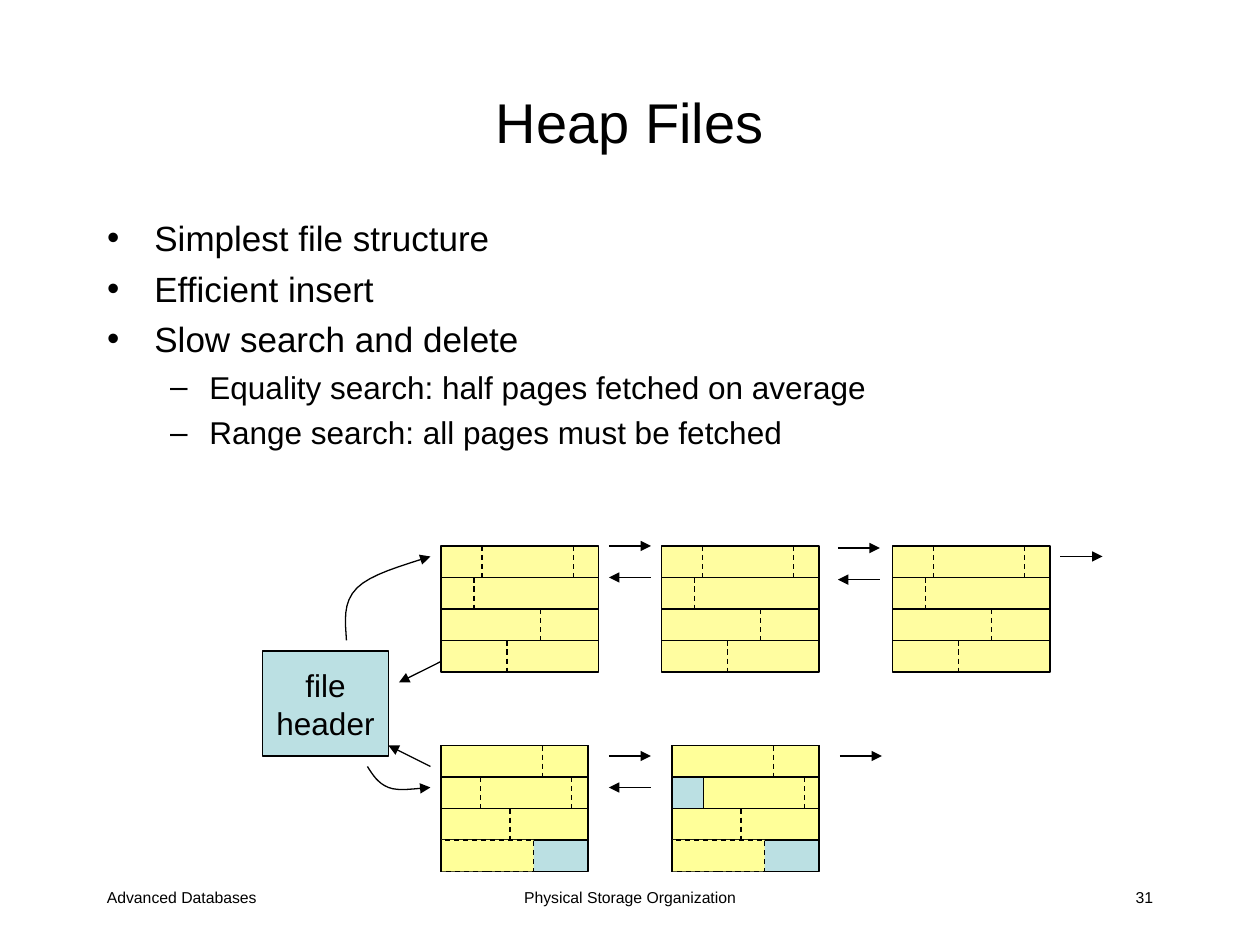
import pptx
import pptx.util
import pptx.dml.color
import pptx.enum.dml
import pptx.enum.shapes
import pptx.enum.text
import pptx.oxml.ns
import lxml.etree

SLIDE = (120, 90)
CELL = 1 / 12
BLACK, BLUE, CREAM, YELLOW = "000000", "BBE0E3", "FFFDA0", "FFFF99"
LEFT, CENTER, RIGHT = (getattr(pptx.enum.text.PP_ALIGN, n) for n in ("LEFT", "CENTER", "RIGHT"))

TITLE = ("Heap Files", (9, 4, 102, 15))
BODY_BOX = (9, 20, 102, 62)
BULLETS = [
    (0, "Simplest file structure"),
    (0, "Efficient insert"),
    (0, "Slow search and delete"),
    (1, "Equality search: half pages fetched on average"),
    (1, "Range search: all pages must be fetched"),
]
BULLET_FORMATS = [{"size": 20, "before": 5}, {"size": 18, "before": 4.5}]
FOOTERS = [
    ("Advanced Databases", (9, 84, 25, 4), LEFT),
    ("Physical Storage Organization", (41, 84, 38, 4), CENTER),
    ("31", (86, 84, 25, 4), RIGHT),
]
HEADER = (["file", "header"], (25, 62, 12, 10))

ROW_HEIGHT, ROWS = 3, 4
FULL_PAGE = {"top": 52, "width": 15, "columns": [42, 63, 85],
             "fields": [(0, 0.26), (0, 0.84), (1, 0.21), (2, 0.63), (3, 0.42)]}
FREE_PAGE = {"top": 71, "width": 14}
FREE_PAGES = [
    {"left": 42, "row1_start": 0, "fields": [(0, 0.69), (1, 0.27), (1, 0.89), (2, 0.47)]},
    {"left": 64, "row1_start": 3, "fields": [(0, 0.69), (1, 0.9), (2, 0.47)]},
]
USED_SHARE = 0.63

ARROWS = [
    (58, 52, 62, 52), (62, 55, 58, 55),
    (79.8, 52.2, 83.8, 52.2), (83.8, 55.2, 79.8, 55.2),
    (101, 53, 105, 53),
    (58, 72, 62, 72), (62, 75, 58, 75), (80, 72, 84, 72),
    (41, 73, 37, 71),
]
CURVES = [
    [(33, 61), (32.9, 59.2), (32.6, 57.4), (34, 56), (35.3, 54.7), (38.2, 53.9), (41, 53)],
    [(35, 73), (35.5, 73.8), (36, 74.6), (37, 75), (38, 75.4), (39.5, 75.1), (41, 75)],
    [(42, 63), (42, 63), (40, 64), (38, 65)],
]
CURVE_STEPS = 8


def grid(*cells):
    return [pptx.util.Inches(c * CELL) for c in cells]


def rgb(value):
    return pptx.dml.color.RGBColor.from_string(value)


def place(sp, box):
    for name, value in zip(("left", "top", "width", "height"), grid(*box)):
        setattr(sp, name, value)


def write(p, text, size, align=None, before=None):
    r = p.add_run()
    r.text = text
    for name, value in {"name": "Arial", "size": pptx.util.Pt(size)}.items():
        setattr(r.font, name, value)
    r.font.color.rgb = rgb(BLACK)
    if align is not None:
        p.alignment = align
    if before is not None:
        p.space_before = pptx.util.Pt(before)


def outline(sp, dash=False, arrow=False):
    sp.line.color.rgb = rgb(BLACK)
    sp.line.width = pptx.util.Pt(0.75)
    if dash:
        sp.line.dash_style = pptx.enum.dml.MSO_LINE.DASH
    if arrow:
        ln = sp._element.spPr.find(pptx.oxml.ns.qn("a:ln"))
        lxml.etree.SubElement(ln, pptx.oxml.ns.qn("a:tailEnd"), type="triangle")


def add_rect(s, box, fill, dash=False):
    sp = s.shapes.add_shape(pptx.enum.shapes.MSO_SHAPE.RECTANGLE, *grid(*box))
    sp.shadow.inherit = False
    sp.fill.solid()
    sp.fill.fore_color.rgb = rgb(fill)
    outline(sp, dash)
    return sp


def add_line(s, ends, dash=False, arrow=False):
    sp = s.shapes.add_connector(pptx.enum.shapes.MSO_CONNECTOR.STRAIGHT, *grid(*ends))
    outline(sp, dash, arrow)
    lxml.etree.SubElement(sp._element.spPr, pptx.oxml.ns.qn("a:effectLst"))


def bezier(points, t):
    weights = ((1 - t) ** 3, 3 * t * (1 - t) ** 2, 3 * t * t * (1 - t), t ** 3)
    return grid(*(sum(w * pt[axis] for w, pt in zip(weights, points)) for axis in (0, 1)))


def add_curve(s, points):
    track = [bezier(points[i:i + 4], step / CURVE_STEPS)
             for i in range(0, len(points) - 1, 3) for step in range(1, CURVE_STEPS + 1)]
    builder = s.shapes.build_freeform(*grid(*points[0]))
    builder.add_line_segments(track, close=False)
    sp = builder.convert_to_shape()
    sp.shadow.inherit = False
    sp.fill.background()
    outline(sp, arrow=True)


def add_fields(s, left, top, width, fields):
    for row, share in fields:
        x, y = left + share * width, top + row * ROW_HEIGHT
        add_line(s, (x, y, x, y + ROW_HEIGHT), dash=True)


def add_full_page(s, left):
    top, width = FULL_PAGE["top"], FULL_PAGE["width"]
    add_rect(s, (left, top, width, ROWS * ROW_HEIGHT), CREAM)
    for row in range(1, ROWS):
        y = top + row * ROW_HEIGHT
        add_line(s, (left, y, left + width, y))
    add_fields(s, left, top, width, FULL_PAGE["fields"])


def add_free_page(s, left, row1_start, fields):
    top, width = FREE_PAGE["top"], FREE_PAGE["width"]
    add_rect(s, (left, top, width, ROWS * ROW_HEIGHT), BLUE)
    for row, start in enumerate((0, row1_start, 0)):
        add_rect(s, (left + start, top + row * ROW_HEIGHT, width - start, ROW_HEIGHT), YELLOW)
    last = top + (ROWS - 1) * ROW_HEIGHT
    add_rect(s, (left, last, USED_SHARE * width, ROW_HEIGHT), YELLOW, dash=True)
    add_line(s, (left, last, left, last + ROW_HEIGHT))
    add_fields(s, left, top, width, fields)


def main():
    prs = pptx.Presentation()
    prs.slide_width, prs.slide_height = grid(*SLIDE)
    s = prs.slides.add_slide(prs.slide_layouts[1])

    title, body = s.shapes.title, s.placeholders[1]
    place(title, TITLE[1])
    write(title.text_frame.paragraphs[0], TITLE[0], 32, CENTER)

    place(body, BODY_BOX)
    tf = body.text_frame
    for i, (level, text) in enumerate(BULLETS):
        p = tf.add_paragraph() if i else tf.paragraphs[0]
        p.level = level
        write(p, text, **BULLET_FORMATS[level])

    for text, box, align in FOOTERS:
        tf = s.shapes.add_textbox(*grid(*box)).text_frame
        tf.word_wrap = True
        write(tf.paragraphs[0], text, 9, align)

    for left in FULL_PAGE["columns"]:
        add_full_page(s, left)
    for page in FREE_PAGES:
        add_free_page(s, **page)

    tf = add_rect(s, HEADER[1], BLUE).text_frame
    tf.word_wrap = False
    tf.vertical_anchor = pptx.enum.text.MSO_ANCHOR.MIDDLE
    for i, text in enumerate(HEADER[0]):
        write(tf.add_paragraph() if i else tf.paragraphs[0], text, 18, CENTER)

    for ends in ARROWS:
        add_line(s, ends, arrow=True)
    for points in CURVES:
        add_curve(s, points)

    prs.save("out.pptx")


if __name__ == "__main__":
    main()
